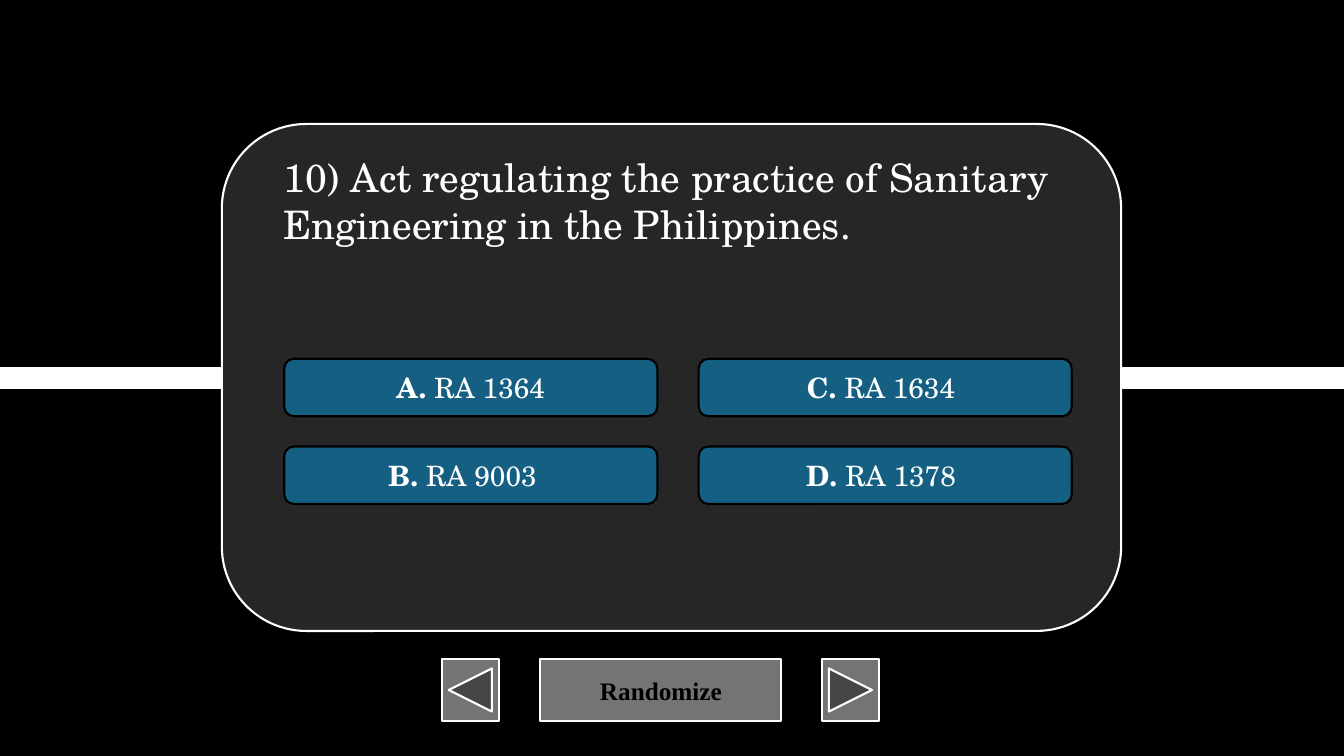
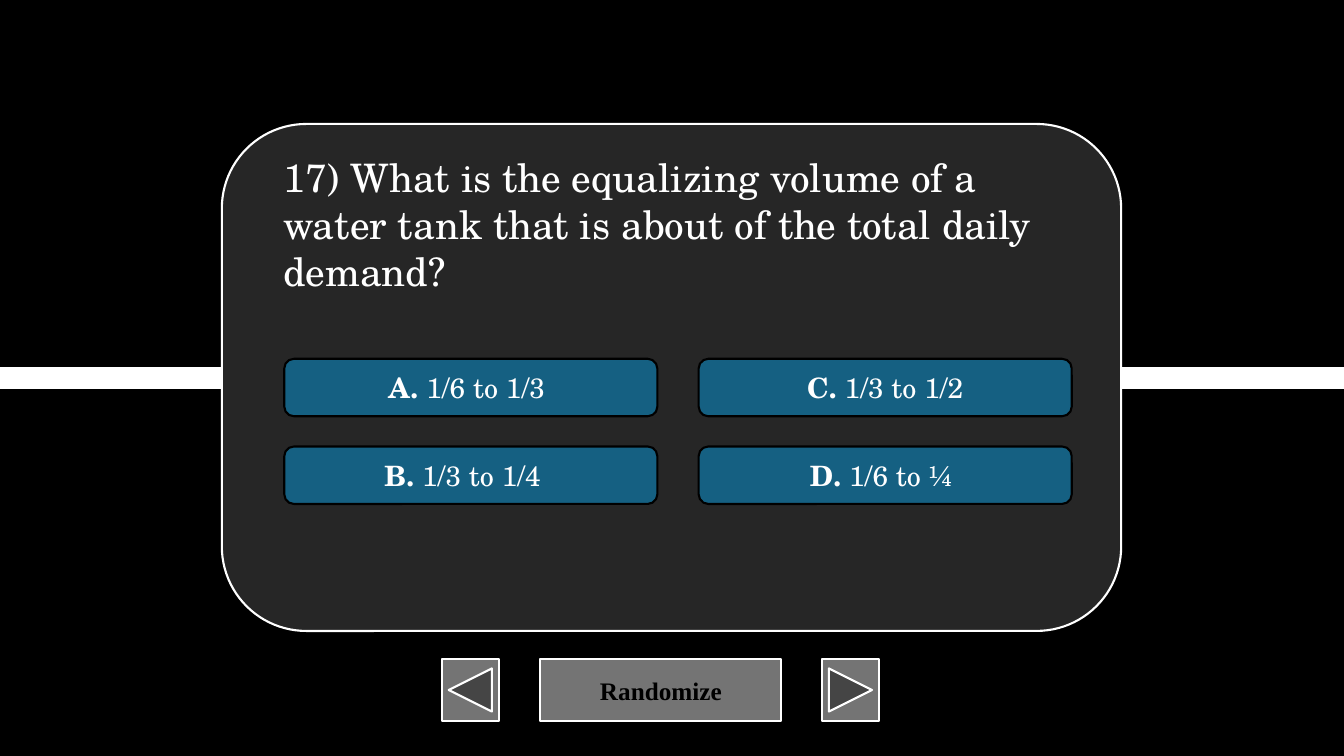
"""Build two multiple-choice quiz slides with shared navigation buttons."""
from lxml.etree import SubElement
from pptx import Presentation
from pptx.dml.color import RGBColor
from pptx.enum.shapes import MSO_CONNECTOR as Connector, MSO_SHAPE as Shape
from pptx.enum.text import MSO_ANCHOR as Anchor, MSO_AUTO_SIZE as AutoSize, PP_ALIGN as Align
from pptx.oxml.ns import qn
from pptx.util import Inches, Pt

QUESTIONS = [
    {
        "question": "10) Act regulating the practice of Sanitary Engineering in the Philippines.",
        "answers": [("A. ", "RA 1364", 0), ("B. ", "RA 9003", 0.16),
                    ("C. ", "RA 1634", 0.08), ("D. ", "RA 1378", 0.08)],
    },
    {
        "question": "17) What is the equalizing volume of a water tank that is about "
                    "of the total daily demand?",
        "answers": [("A. ", "1/6 to 1/3", 0.08), ("B. ", "1/3 to 1/4", 0.16),
                    ("C. ", "1/3 to 1/2", 0), ("D. ", "1/6 to ¼", 0.08)],
    },
]
NAVIGATION = [
    (Shape.ACTION_BUTTON_CUSTOM, 5.36, 2.39, "Randomize"),
    (Shape.ACTION_BUTTON_BACK_OR_PREVIOUS, 4.38, 0.57, ""),
    (Shape.ACTION_BUTTON_FORWARD_OR_NEXT, 8.15, 0.57, ""),
]

BLACK, WHITE = "000000", "FFFFFF"
CARD, ANSWER, BUTTON = "262626", "156082", "747474"
QUIZ_FONT, BUTTON_FONT = "TeX Gyre Schola", "Times New Roman"
WIDTH, HEIGHT = 13.33, 7.5
ANSWER_LEFT, ANSWER_TOP = 2.82, 3.56
COLUMN_STEP, ROW_STEP, ROWS = 4.11, 0.87, 2
SIDE_MARGIN = 0.1


def color(value):
    return RGBColor.from_string(value)


def add_box(page, kind, place, fill, line):
    box = page.shapes.add_shape(kind, *map(Inches, place))
    box.shadow.inherit = False
    box.fill.solid()
    box.fill.fore_color.rgb = color(fill)
    box.line.color.rgb = color(line)
    box.line.width = Pt(1.5)
    return box


def add_span(para, text, font, size, tint, bold=False):
    span = para.add_run()
    span.text = text
    span.font.name = font
    span.font.size = Pt(size)
    span.font.color.rgb = color(tint)
    span.font.bold = bold


def centered_para(box):
    box.text_frame.vertical_anchor = Anchor.MIDDLE
    para = box.text_frame.paragraphs[0]
    para.alignment = Align.CENTER
    return para


def add_frame(page):
    middle = Inches(HEIGHT / 2)
    band = page.shapes.add_connector(Connector.STRAIGHT, 0, middle, Inches(WIDTH), middle)
    band.line.color.rgb = color(WHITE)
    band.line.width = Pt(16)
    SubElement(band._element.spPr, qn("a:effectLst"))
    for kind, left, width, label in NAVIGATION:
        button = add_box(page, kind, (left, 6.54, width, 0.61), BUTTON, WHITE)
        if label:
            add_span(centered_para(button), label, BUTTON_FONT, 18, BLACK, True)
    add_box(page, Shape.ROUNDED_RECTANGLE, (2.2, 1.23, 8.92, 5.03), CARD, WHITE)


def add_answers(page, answers):
    for index, (letter, text, extra_margin) in enumerate(answers):
        column, row = divmod(index, ROWS)
        place = (ANSWER_LEFT + column * COLUMN_STEP, ANSWER_TOP + row * ROW_STEP, 3.7, 0.57)
        box = add_box(page, Shape.ROUNDED_RECTANGLE, place, ANSWER, BLACK)
        box.text_frame.margin_right = Inches(SIDE_MARGIN + extra_margin)
        para = centered_para(box)
        add_span(para, letter, QUIZ_FONT, 20, WHITE, True)
        add_span(para, text, QUIZ_FONT, 20, WHITE)


def set_question(page, question):
    title = page.shapes.title
    title.left, title.top, title.width, title.height = map(Inches, (2.71, 1.47, 7.92, 1.04))
    frame = title.text_frame
    frame.word_wrap = True
    frame.auto_size = AutoSize.NONE
    frame.vertical_anchor = Anchor.TOP
    para = frame.paragraphs[0]
    para.alignment = Align.LEFT
    add_span(para, question, QUIZ_FONT, 28, WHITE)
    title._element.getparent().append(title._element)


def main():
    deck = Presentation()
    deck.slide_width, deck.slide_height = Inches(WIDTH), Inches(HEIGHT)
    background = deck.slide_master.background.fill
    background.solid()
    background.fore_color.rgb = color(BLACK)
    for item in QUESTIONS:
        page = deck.slides.add_slide(deck.slide_layouts[5])
        add_frame(page)
        add_answers(page, item["answers"])
        set_question(page, item["question"])
    deck.save("out.pptx")


if __name__ == "__main__":
    main()
